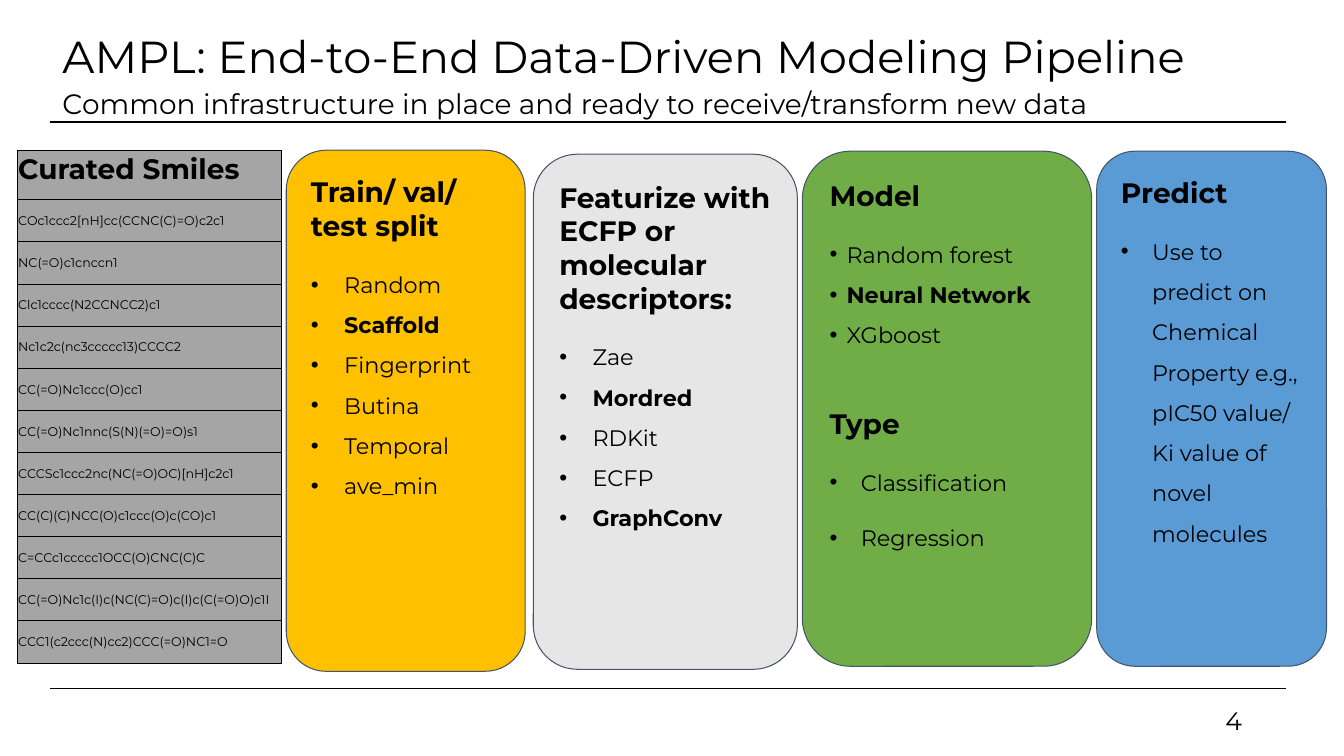
from lxml.etree import SubElement
from pptx import Presentation
from pptx.dml.color import RGBColor
from pptx.enum.shapes import MSO_CONNECTOR as LINE, MSO_SHAPE as SHAPE
from pptx.enum.text import MSO_ANCHOR as ANCHOR, MSO_AUTO_SIZE as AUTO, PP_ALIGN as ALIGN
from pptx.oxml import parse_xml
from pptx.oxml.ns import nsdecls, qn
from pptx.util import Inches, Pt

BLACK = RGBColor(0, 0, 0)
SLATE = RGBColor(0x44, 0x54, 0x6A)
GRAY = RGBColor(0xA5, 0xA5, 0xA5)
PALE = RGBColor(0xE7, 0xE6, 0xE6)
GOLD = RGBColor(0xFF, 0xC0, 0x00)
GREEN = RGBColor(0x70, 0xAD, 0x47)
BLUE = RGBColor(0x5B, 0x9B, 0xD5)

deck = Presentation()
deck.slide_width, deck.slide_height = Inches(13.33), Inches(7.5)
COL, ROW = deck.slide_width / 100, deck.slide_height / 100
slide = deck.slides.add_slide(deck.slide_layouts[1])
shapes = slide.shapes


def grid(x, y, w, h):
    """Turn percent shares of the slide into left, top, width and height."""
    return int(x * COL), int(y * ROW), int(w * COL), int(h * ROW)


def style(para, size, bold=False):
    for run in para.runs:
        font = run.font
        font.name, font.size, font.bold = "Montserrat", Pt(size), bold
        font.color.rgb = BLACK


# Rules above and below the content
for y, weight in ((91.07, 0.75), (16.13, 1.5)):
    left, top, width, _ = grid(3.75, y, 91.9, 0)
    rule = shapes.add_connector(LINE.STRAIGHT, left, top, left + width, top)
    rule.line.color.rgb, rule.line.width = BLACK, Pt(weight)
    SubElement(rule._element.spPr, qn("a:effectLst"))

# Title, subtitle and page number
title, body = shapes.title, slide.placeholders[1]
page = shapes.add_textbox(0, 0, 0, 0)
for box, text, area, size, anchor, align in (
    (title, "AMPL: End-to-End Data-Driven Modeling Pipeline",
     (3.9, 3.73, 86.25, 8.13), 32, ANCHOR.MIDDLE, ALIGN.LEFT),
    (body, "Common infrastructure in place and ready to receive/transform new data",
     (3.9, 11.3, 86.25, 5.2), 20, ANCHOR.TOP, ALIGN.LEFT),
    (page, "4", (70.65, 92.67, 22.5, 5.33), 18, ANCHOR.MIDDLE, ALIGN.RIGHT),
):
    box.left, box.top, box.width, box.height = grid(*area)
    frame = box.text_frame
    frame.text = text
    frame.word_wrap, frame.auto_size = True, AUTO.NONE
    frame.vertical_anchor = anchor
    para = frame.paragraphs[0]
    para.alignment, para.space_before = align, Pt(0)
    para.line_spacing = 1.0 if box is page else 0.9
    style(para, size)
props = body.text_frame.paragraphs[0]._p.get_or_add_pPr()
props.set("marL", "0")
props.set("indent", "0")
SubElement(props, qn("a:buNone"))

# Table of molecules
smiles = [
    "Curated Smiles",
    "COc1ccc2[nH]cc(CCNC(C)=O)c2c1",
    "NC(=O)c1cnccn1",
    "Clc1cccc(N2CCNCC2)c1",
    "Nc1c2c(nc3ccccc13)CCCC2",
    "CC(=O)Nc1ccc(O)cc1",
    "CC(=O)Nc1nnc(S(N)(=O)=O)s1",
    "CCCSc1ccc2nc(NC(=O)OC)[nH]c2c1",
    "CC(C)(C)NCC(O)c1ccc(O)c(CO)c1",
    "C=CCc1ccccc1OCC(O)CNC(C)C",
    "CC(=O)Nc1c(I)c(NC(C)=O)c(I)c(C(=O)O)c1I",
    "CCC1(c2ccc(N)cc2)CCC(=O)NC1=O",
]
area = grid(1.28, 19.9, 19.65, 67.8)
table = shapes.add_table(len(smiles), 1, *area).table
table.first_row = table.horz_banding = False
head = Inches(0.49)
for i, text in enumerate(smiles):
    table.rows[i].height = head if i == 0 else int((area[3] - head) / (len(smiles) - 1))
    cell = table.cell(i, 0)
    cell.text = text
    cell.vertical_anchor = ANCHOR.BOTTOM
    cell.margin_left = cell.margin_right = cell.margin_top = Inches(0.01)
    cell.margin_bottom = Inches(0.13)
    style(cell.text_frame.paragraphs[0], 20 if i == 0 else 9, i == 0)
    for side in "LRTB":
        cell._tc.get_or_add_tcPr().append(parse_xml(
            f'<a:ln{side} {nsdecls("a")} w="9525"><a:solidFill>'
            f'<a:srgbClr val="{BLACK}"/></a:solidFill></a:ln{side}>'))
    cell.fill.solid()
    cell.fill.fore_color.rgb = GRAY

# Pipeline panels: area, fill, then parts of (heading, indent, item gap, items)
panels = [
    ((39.68, 20.4, 19.65, 68.13), PALE, [
        ("Featurize with ECFP or molecular descriptors:", 0.33, 0,
         ["Zae", "Mordred", "RDKit", "ECFP", "GraphConv"])]),
    ((21.3, 19.87, 17.78, 68.93), GOLD, [
        ("Train/ val/ test split", 0.33, 0,
         ["Random", "Scaffold", "Fingerprint", "Butina", "Temporal", "ave_min"])]),
    ((59.7, 20, 21.53, 68.13), GREEN, [
        ("Model", 0.17, 0, ["Random forest", "Neural Network", "XGboost"]),
        ("Type", 0.31, 11, ["Classification", "Regression"])]),
    ((81.6, 20, 17.1, 68.13), BLUE, [
        ("Predict", 0.31, 0,
         ["Use to predict on Chemical Property e.g., "
          "pIC50 value/ Ki value of novel molecules"])]),
]
strong = {"Mordred", "GraphConv", "Scaffold", "Neural Network"}

for area, color, parts in panels:
    panel = shapes.add_shape(SHAPE.ROUNDED_RECTANGLE, *grid(*area))
    panel.shadow.inherit = False
    panel.fill.solid()
    panel.fill.fore_color.rgb = color
    panel.line.color.rgb, panel.line.width = SLATE, Pt(0.75)
    frame = panel.text_frame
    frame.word_wrap, frame.vertical_anchor = True, ANCHOR.TOP
    frame.margin_left = frame.margin_right = Inches(0.13)
    frame.margin_top = frame.margin_bottom = Inches(0.13)
    for n, (head, indent, gap, items) in enumerate(parts):
        para = frame.add_paragraph() if n else frame.paragraphs[0]
        para.text, para.alignment = head, ALIGN.LEFT
        if n:
            para.space_before, para.line_spacing = Pt(44), 0.9
        style(para, 20, True)
        for k, item in enumerate(items):
            para = frame.add_paragraph()
            para.text, para.alignment = item, ALIGN.LEFT
            para.line_spacing = 1.5
            para.space_before = Pt(gap if k else 11)
            props = para._p.get_or_add_pPr()
            props.set("marL", str(Inches(indent)))
            props.set("indent", str(-Inches(indent)))
            tint = SubElement(props, qn("a:buClr"))
            SubElement(tint, qn("a:srgbClr"), val=str(BLACK))
            SubElement(props, qn("a:buFont"), typeface="Arial")
            SubElement(props, qn("a:buChar"), char="•")
            style(para, 16, item in strong)

deck.save("out.pptx")
